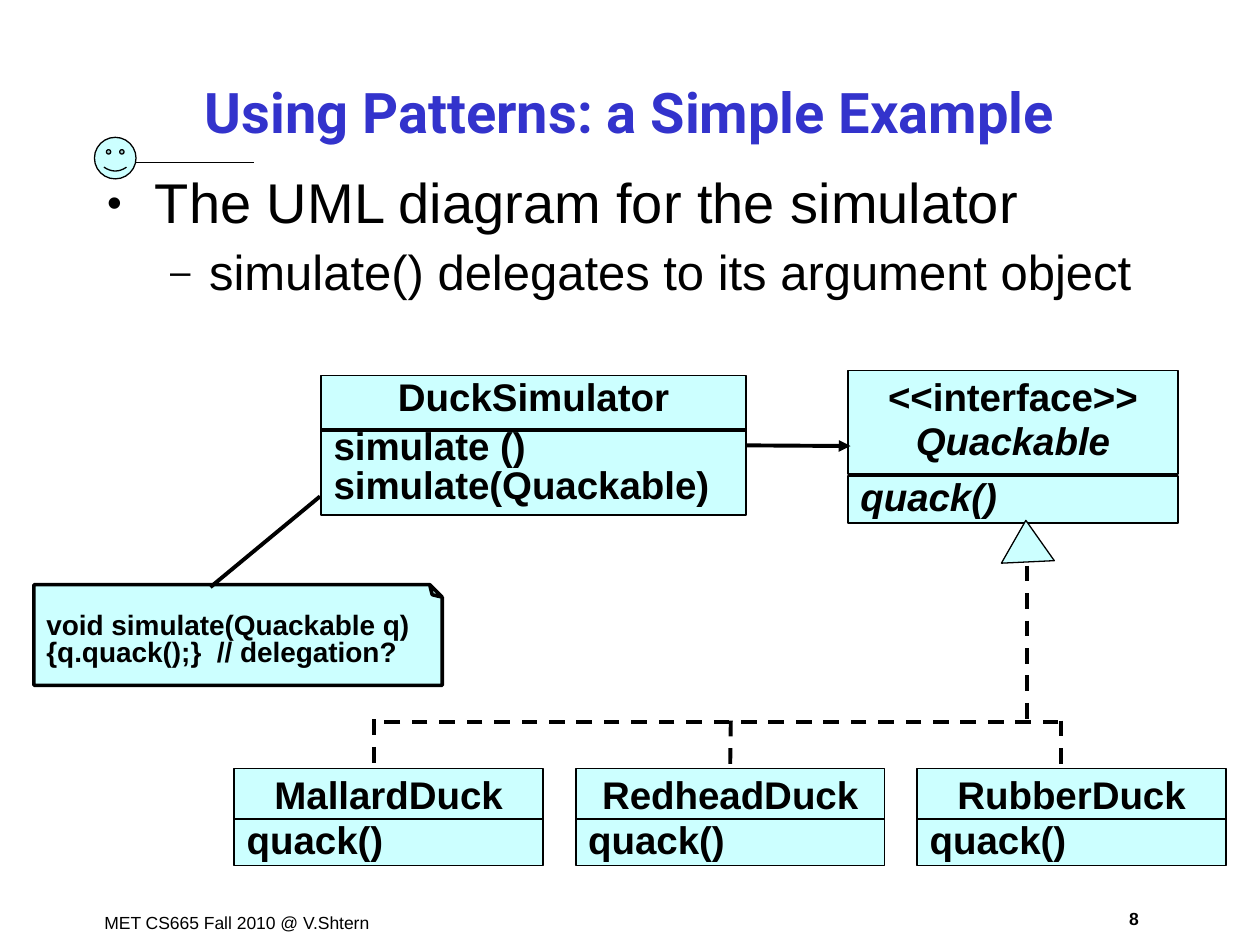
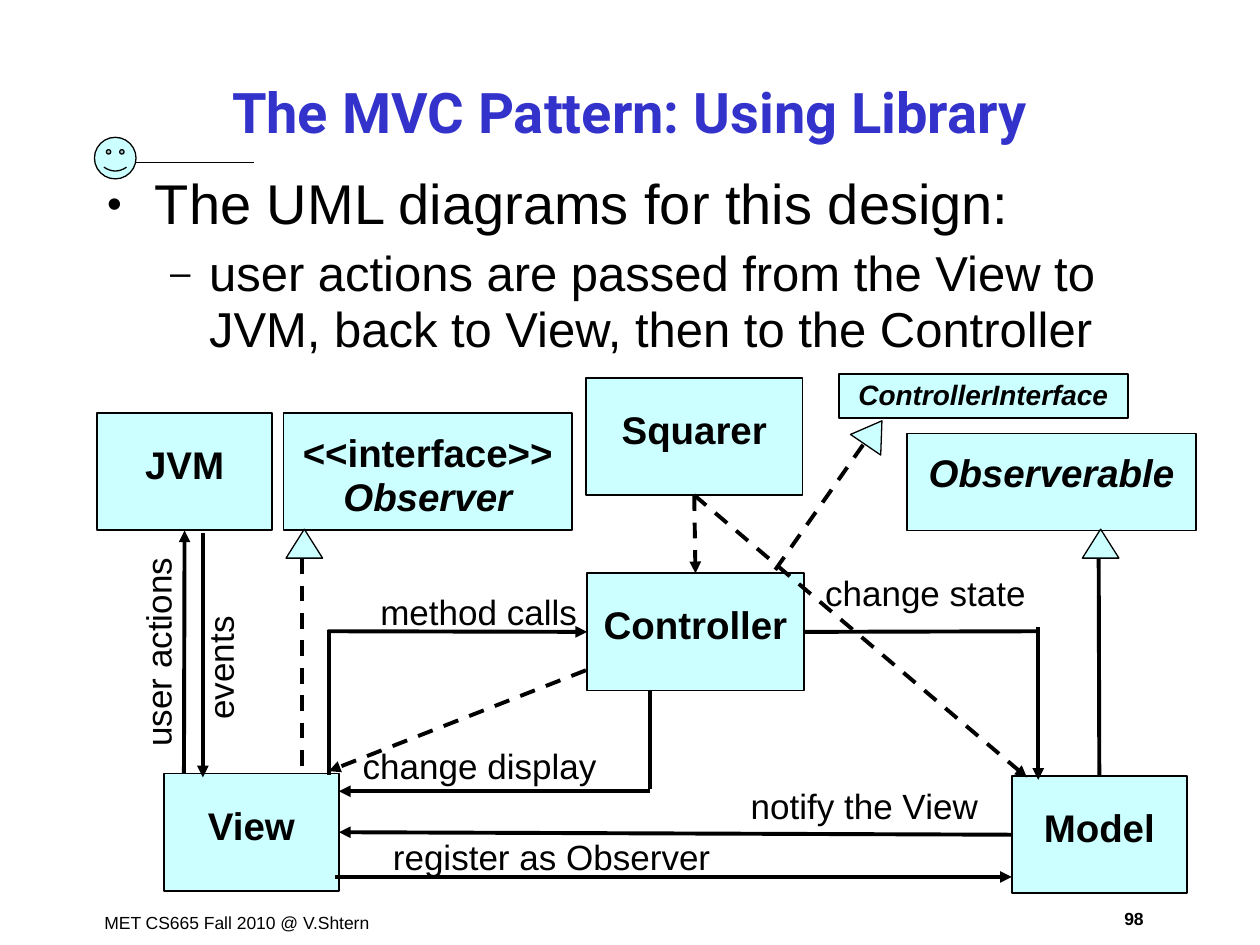
from dataclasses import dataclass
from lxml import etree
from pptx import Presentation, util as u
from pptx.dml.color import RGBColor
from pptx.enum import dml, shapes, text
from pptx.oxml import ns


@dataclass(frozen=True)
class Theme:
    ink: RGBColor = RGBColor(0, 0, 0)
    heading: RGBColor = RGBColor(0x33, 0x33, 0xCC)
    panel: RGBColor = RGBColor(0xCC, 0xFF, 0xFF)
    title_font: str = "Roboto"
    font: str = "Arial"
    title_size: int = 32
    levels: tuple = (32, 28)
    name_size: int = 22
    label_size: int = 20
    note_size: int = 16
    footer_size: int = 10
    thin: float = 0.75
    outline: float = 1
    heavy: float = 2.25


theme = Theme()
preset = shapes.MSO_SHAPE
left, center = text.PP_ALIGN.LEFT, text.PP_ALIGN.CENTER


def add_part(slide, at, *lines, kind=preset.RECTANGLE, inset=0.05, size=theme.name_size,
             bold=True, align=center, spacing=0.95, outline=theme.outline, angle=0):
    place = [u.Inches(length) for length in at]
    if kind is None:
        part = slide.shapes.add_textbox(*place)
    else:
        part = slide.shapes.add_shape(kind, *place)
        part.shadow.inherit = False
        part.fill.solid()
        part.fill.fore_color.rgb = theme.panel
        part.line.color.rgb = theme.ink
        part.line.width = u.Pt(outline)
    part.rotation = angle
    frame = part.text_frame
    frame.word_wrap = True
    frame.vertical_anchor = text.MSO_ANCHOR.TOP
    frame.margin_top = u.Inches(inset)
    for index, (words, style) in enumerate(lines):
        paragraph = frame.paragraphs[0] if index == 0 else frame.add_paragraph()
        paragraph.text = words
        paragraph.alignment = style.get("align", align)
        paragraph.line_spacing = style.get("spacing", spacing)
        paragraph.space_before = u.Pt(style.get("before", 0))
        paragraph.font.name = theme.font
        paragraph.font.size = u.Pt(size)
        paragraph.font.bold = bold
        paragraph.font.italic = style.get("italic", False)
        paragraph.font.color.rgb = theme.ink
    return part


def link(slide, start, end, dashed=False, arrow=False, width=theme.heavy):
    joined = [not isinstance(tip[0], (int, float)) for tip in (start, end)]
    points = [(0, 0) if glued else tip for glued, tip in zip(joined, (start, end))]
    line = slide.shapes.add_connector(
        shapes.MSO_CONNECTOR.STRAIGHT, *[u.Inches(value) for point in points for value in point])
    if joined[0]:
        line.begin_connect(*start)
    if joined[1]:
        line.end_connect(*end)
    line.line.color.rgb = theme.ink
    line.line.width = u.Pt(width)
    if dashed:
        line.line.dash_style = dml.MSO_LINE.DASH
    if arrow:
        etree.SubElement(line.line._get_or_add_ln(), ns.qn("a:tailEnd"), type="triangle")
    etree.SubElement(line._element.spPr, ns.qn("a:effectLst"))


deck = Presentation()
deck.slide_width, deck.slide_height = u.Inches(10), u.Inches(7.5)

outlines = [
    ("Using Patterns: a Simple Example", 1.32, "8",
     ["The UML diagram for the simulator", "simulate() delegates to its argument object"]),
    ("The MVC Pattern: Using Library", 1.33, "98",
     ["The UML diagrams for this design:",
      "user actions are passed from the View to JVM, back to View, then to the Controller"]),
]
bullets = [("•", 0.38, -0.38, 0), ("–", 0.81, -0.31, 5.2)]

for heading, body_top, number, points in outlines:
    slide = deck.slides.add_slide(deck.slide_layouts[1])
    add_part(slide, (0.73, 7.19, 2.41, 0.27), ("MET CS665 Fall 2010 @ V.Shtern", {}),
             kind=None, size=theme.footer_size, bold=False, align=left, spacing=1.0)
    add_part(slide, (8.73, 7.16, 0.54, 0.27), (number, {}),
             kind=None, size=theme.footer_size, spacing=1.0)
    add_part(slide, (0.75, 1.09, 0.33, 0.33), kind=preset.SMILEY_FACE, outline=theme.thin)
    link(slide, (1.08, 1.29), (2.02, 1.29), width=theme.outline)

    title, body = slide.placeholders
    for holder, top, height in ((title, 0.48, 0.8), (body, body_top, 5.76)):
        holder.left, holder.top = u.Inches(0.75), u.Inches(top)
        holder.width, holder.height = u.Inches(8.5), u.Inches(height)
        holder.text_frame.auto_size = text.MSO_AUTO_SIZE.NONE
    title.text_frame.text = heading
    title.text_frame.vertical_anchor = text.MSO_ANCHOR.MIDDLE
    caption = title.text_frame.paragraphs[0]
    caption.alignment = center
    caption.font.name = theme.title_font
    caption.font.size = u.Pt(theme.title_size)
    caption.font.bold = True
    caption.font.color.rgb = theme.heading

    body.text_frame.text = "\n".join(points)
    for level, (paragraph, (mark, margin, indent, before)) in enumerate(
            zip(body.text_frame.paragraphs, bullets)):
        paragraph.level = level
        properties = paragraph._p.get_or_add_pPr()
        properties.set("marL", str(u.Inches(margin)))
        properties.set("indent", str(u.Inches(indent)))
        bullet_color = etree.SubElement(properties, ns.qn("a:buClr"))
        etree.SubElement(bullet_color, ns.qn("a:srgbClr"), val=str(theme.ink))
        etree.SubElement(properties, ns.qn("a:buSzPct"), val="75000")
        etree.SubElement(properties, ns.qn("a:buChar"), char=mark)
        paragraph.line_spacing = 0.95
        paragraph.space_before = u.Pt(before)
        paragraph.font.name = theme.font
        paragraph.font.size = u.Pt(theme.levels[level])
        paragraph.font.color.rgb = theme.ink

ducks, mvc = deck.slides
italic = {"italic": True}
member = {"align": left, "spacing": 0.8}

simulator = add_part(ducks, (2.55, 2.98, 3.37, 1.11), ("DuckSimulator", {"spacing": 0.8}),
                     ("simulate ()", {**member, "before": 6.9}),
                     ("simulate(Quackable)", {**member, "before": 1.4}))
add_part(ducks, (6.73, 2.94, 2.62, 0.82), ("<<interface>>", {}), ("Quackable", italic))
add_part(ducks, (6.73, 3.78, 2.62, 0.37), ("quack()", {**member, **italic}))
link(ducks, (6.73, 3.77), (9.35, 3.77))
add_part(ducks, (7.94, 4.13, 0.42, 0.33), kind=preset.ISOSCELES_TRIANGLE,
         outline=theme.thin, angle=357.3)

code_note = add_part(ducks, (0.27, 4.64, 3.24, 0.8), ("void simulate(Quackable q)", {}),
                     ("{q.quack();}  // delegation?", {}), kind=preset.FOLDED_CORNER,
                     size=theme.note_size, align=left, spacing=0.8, outline=2)
code_note.text_frame.vertical_anchor = text.MSO_ANCHOR.MIDDLE
note_outline = code_note._element.spPr
note_outline.xfrm.set("flipV", "1")
fold = note_outline.find(".//" + ns.qn("a:avLst"))
etree.SubElement(fold, ns.qn("a:gd"), name="adj", fmla="val 12500")
code_note.text_frame._txBody.bodyPr.set("rot", "10800000")

duck_boxes = []
for column, duck in enumerate(("MallardDuck", "RedheadDuck", "RubberDuck")):
    duck_left = 1.86 + 2.71 * column
    duck_boxes.append(add_part(ducks, (duck_left, 6.1, 2.45, 0.4), (duck, {})))
    add_part(ducks, (duck_left, 6.5, 2.45, 0.37), ("quack()", member))

link(ducks, (2.55, 3.41), (5.93, 3.41))
link(ducks, (2.54, 3.94), (1.67, 4.66))
link(ducks, (simulator, 3), (6.75, 3.54), arrow=True)
for start, end in [
    ((8.15, 4.49), (8.15, 5.73)),
    ((8.4, 5.73), (2.98, 5.73)),
    ((2.97, 5.71), (2.97, 6.11)),
    ((5.8, 5.72), (duck_boxes[1], 0)),
    ((8.42, 5.72), (8.42, 6.12)),
]:
    link(ducks, start, end, dashed=True)

roles = {}
for role, role_left, role_top, role_width in [
    ("View", 1.3, 6.14, 1.39),
    ("Controller", 4.66, 4.55, 1.72),
    ("Model", 8.03, 6.16, 1.39),
    ("Squarer", 4.65, 3, 1.72),
    ("JVM", 0.77, 3.28, 1.39),
]:
    roles[role] = add_part(mvc, (role_left, role_top, role_width, 0.93), (role, {}), inset=0.25)
view, controller, model, squarer, jvm = roles.values()

add_part(mvc, (2.25, 3.28, 2.29, 0.93), ("<<interface>>", {}), ("Observer", italic), inset=0.15)
add_part(mvc, (7.2, 3.44, 2.29, 0.77), ("Observerable", italic), inset=0.15)
add_part(mvc, (6.66, 2.97, 2.29, 0.35), ("ControllerInterface", italic), size=theme.note_size)
for head_left, head_top, angle in [(8.59, 4.2, 0), (2.27, 4.2, 0), (6.79, 3.32, 34.3)]:
    add_part(mvc, (head_left, head_top, 0.29, 0.23), kind=preset.ISOSCELES_TRIANGLE,
             outline=theme.thin, angle=angle)

for start, end, dashed, arrow in [
    ((1.46, 6.14), (jvm, 2), False, True),
    ((1.61, 4.23), (1.61, 6.17), False, True),
    ((5.16, 5.48), (5.16, 6.26), False, False),
    ((5.16, 6.28), (2.69, 6.28), False, True),
    ((controller, 3), (8.25, 5.01), False, False),
    ((8.24, 4.98), (8.24, 6.19), False, True),
    ((2.61, 5), (2.61, 6.15), False, False),
    ((2.6, 5.01), (controller, 1), False, True),
    ((squarer, 2), (controller, 0), True, True),
    ((squarer, 2), (8.15, 6.17), True, True),
    ((4.65, 5.32), (2.61, 6.12), True, True),
    ((2.4, 4.43), (2.4, 6.17), True, False),
    ((6.85, 3.53), (6.12, 4.57), True, False),
    ((8.72, 4.43), (model, 0), False, False),
    ((model, 1), (view, 3), False, True),
    ((2.66, 6.96), (8.03, 6.96), False, True),
]:
    link(mvc, start, end, dashed, arrow)

for message, message_left, message_top, message_width, angle in [
    ("user actions", 0.4, 4.95, 1.71, 270),
    ("events", 0.89, 4.73, 1.72, 270),
    ("change display", 2.78, 5.86, 2.42, 0),
    ("change state", 6.45, 4.49, 2.9, 0),
    ("method calls", 2.92, 4.64, 2.03, 0),
    ("notify the View", 5.86, 6.18, 2.33, 0),
    ("register as Observer", 3.02, 6.58, 4.06, 0),
]:
    add_part(mvc, (message_left, message_top, message_width, 0.44), (message, {}), kind=None,
             size=theme.label_size, bold=False, align=left, spacing=1.0, angle=angle)

deck.save("out.pptx")
